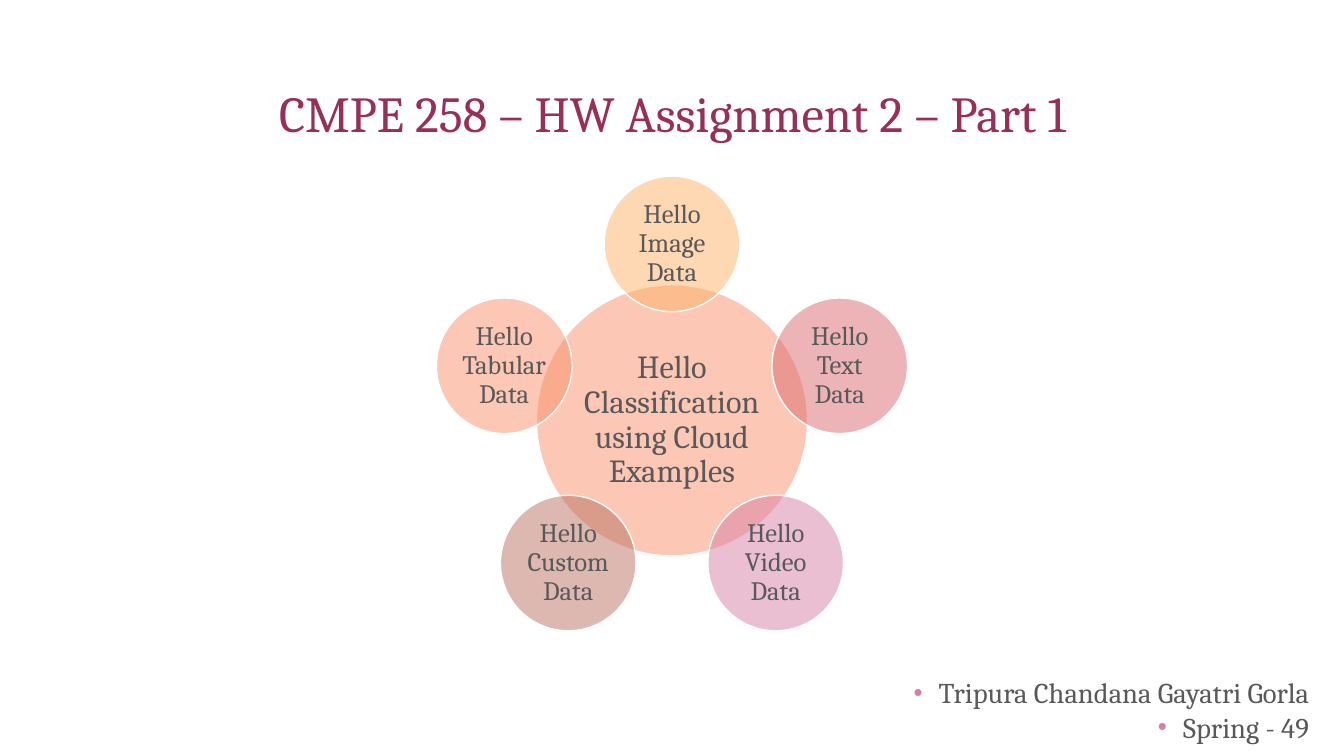
"""Builds the assignment title slide with a radial diagram of data types."""
from math import cos, radians, sin

from lxml.etree import SubElement
from pptx import Presentation
from pptx.dml.color import RGBColor as Color
from pptx.enum.shapes import MSO_SHAPE as Preset
from pptx.enum.text import MSO_ANCHOR as Anchor, PP_ALIGN as Align
from pptx.oxml.ns import qn
from pptx.util import Inches, Pt

THEME = {
    "font": "Cambria",
    "title": "972F57", "text": "595959", "outline": "FFFFFF",
    "bullet": "D680A5", "hub": "FA906A",
    "title_size": 36, "author_size": 20.4, "hub_size": 23, "satellite_size": 19,
}
WIDTH, HEIGHT = 13.33, 7.5
HUB_X, HUB_Y = WIDTH / 2, 4.17
HUB_DIAMETER = 2.69
SATELLITE_DIAMETER = HUB_DIAMETER / 2
ORBIT = 1.75
SATELLITES = [
    ("Hello Image Data", "FCB268"),
    ("Hello Text Data", "DB6B70"),
    ("Hello Video Data", "D680A5"),
    ("Hello Custom Data", "BA7362"),
    ("Hello Tabular Data", "FA906A"),
]
AUTHOR_LINES = ["Tripura Chandana Gayatri Gorla", "Spring - 49"]


def style(paragraph, size, color, align):
    paragraph.alignment = align
    paragraph.font.name = THEME["font"]
    paragraph.font.size = Pt(size)
    paragraph.font.color.rgb = Color.from_string(color)


def add_circle(slide, center_x, center_y, diameter, label, color, size):
    circle = slide.shapes.add_shape(
        Preset.OVAL, Inches(center_x - diameter / 2), Inches(center_y - diameter / 2),
        Inches(diameter), Inches(diameter))
    circle.shadow.inherit = False
    circle.fill.solid()
    circle.fill.fore_color.rgb = Color.from_string(color)
    fill_color = circle._element.spPr.find(qn("a:solidFill"))[0]
    SubElement(fill_color, qn("a:alpha"), val="50000")
    circle.line.color.rgb = Color.from_string(THEME["outline"])
    circle.line.width = Pt(1)
    frame = circle.text_frame
    frame.word_wrap = True
    frame.vertical_anchor = Anchor.MIDDLE
    frame.margin_left = frame.margin_right = Inches(0.03)
    frame.margin_top = frame.margin_bottom = Inches(0.03)
    paragraph = frame.paragraphs[0]
    paragraph.text = label
    paragraph.line_spacing = 0.9
    style(paragraph, size, THEME["text"], Align.CENTER)


presentation = Presentation()
presentation.slide_width = Inches(WIDTH)
presentation.slide_height = Inches(HEIGHT)
slide = presentation.slides.add_slide(presentation.slide_layouts[6])

title = slide.shapes.add_textbox(Inches(1.17), Inches(0.5), Inches(11), Inches(1.3))
title.text_frame.word_wrap = True
title.text_frame.vertical_anchor = Anchor.MIDDLE
paragraph = title.text_frame.paragraphs[0]
paragraph.text = "CMPE 258 – HW Assignment 2 – Part 1"
paragraph.line_spacing = 0.9
style(paragraph, THEME["title_size"], THEME["title"], Align.CENTER)

author = slide.shapes.add_textbox(Inches(7.1), Inches(6.65), Inches(5.98), Inches(0.77))
author.text_frame.word_wrap = True
author.text_frame.text = "\n".join(AUTHOR_LINES)
for paragraph in author.text_frame.paragraphs:
    properties = paragraph._p.get_or_add_pPr()
    properties.set("marL", str(Inches(0.25)))
    properties.set("indent", str(-Inches(0.25)))
    bullet_color = SubElement(properties, qn("a:buClr"))
    SubElement(bullet_color, qn("a:srgbClr"), val=THEME["bullet"])
    SubElement(properties, qn("a:buSzPct"), val="90000")
    SubElement(properties, qn("a:buFont"), typeface="Arial")
    SubElement(properties, qn("a:buChar"), char="•")
    style(paragraph, THEME["author_size"], THEME["text"], Align.RIGHT)

add_circle(slide, HUB_X, HUB_Y, HUB_DIAMETER, "Hello Classification using Cloud Examples",
           THEME["hub"], THEME["hub_size"])
for index, (label, color) in enumerate(SATELLITES):
    angle = radians(index * 360 / len(SATELLITES))
    add_circle(slide, HUB_X + ORBIT * sin(angle), HUB_Y - ORBIT * cos(angle),
               SATELLITE_DIAMETER, label, color, THEME["satellite_size"])

presentation.save("out.pptx")
